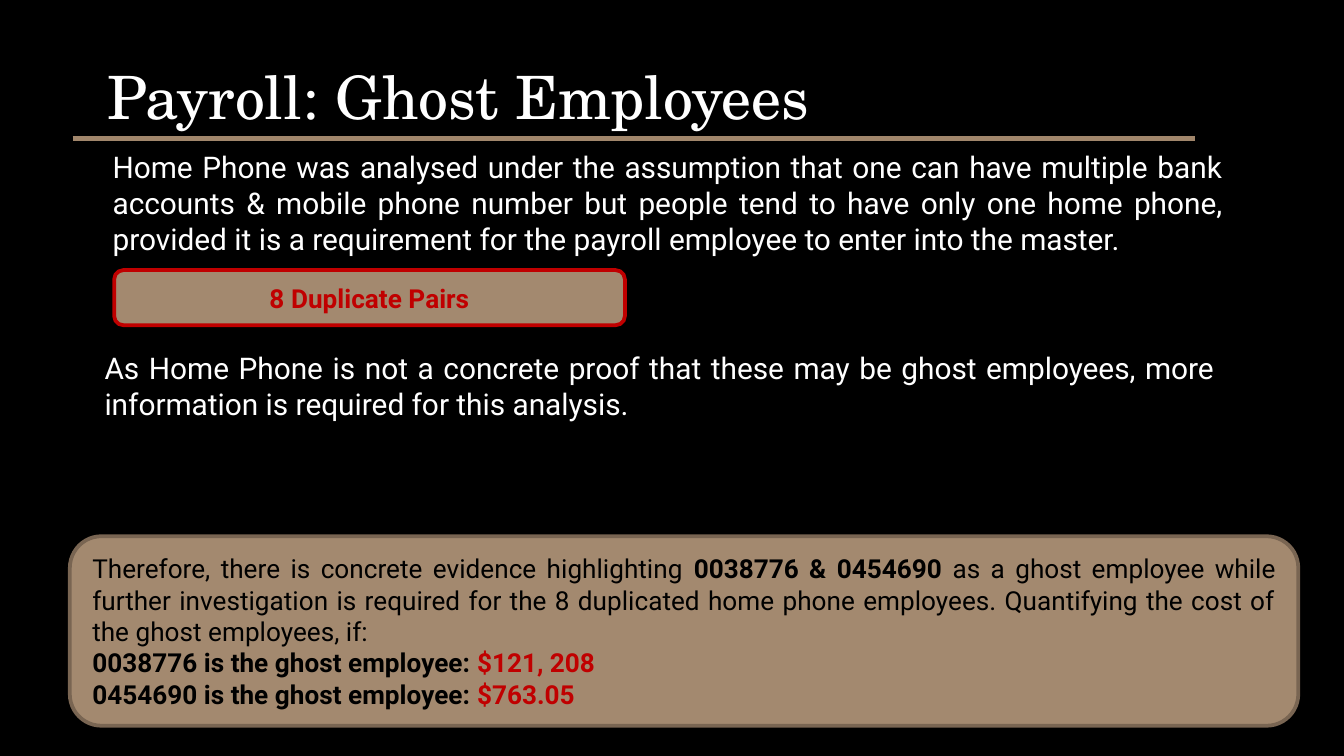
"""Build the payroll ghost employees slide."""
import pptx
import pptx.dml.color
import pptx.enum.shapes
import pptx.enum.text
import pptx.oxml.ns
import pptx.util
from lxml import etree

Inches = pptx.util.Inches
Pt = pptx.util.Pt
ALIGN = pptx.enum.text.PP_ALIGN
ANCHOR = pptx.enum.text.MSO_ANCHOR
SHAPE = pptx.enum.shapes.MSO_SHAPE


def color(value):
    return pptx.dml.color.RGBColor.from_string(value)


class SlideBuilder:
    BODY, HEADING = "Roboto", "TeX Gyre Schola"
    BLACK, WHITE, RED = "000000", "FFFFFF", "C00000"
    TAN, RULE, BROWN = "A3896F", "A1866B", "796552"

    def __init__(self, prs):
        self.slide = prs.slides.add_slide(prs.slide_layouts[6])
        fill = self.slide.background.fill
        fill.solid()
        fill.fore_color.rgb = color(self.BLACK)

    def style(self, r, size, rgb, bold=False, name=BODY):
        r.font.name = name
        r.font.size = Pt(size)
        r.font.bold = bold
        r.font.color.rgb = color(rgb)

    def text(self, box, text, size, name=BODY, align=ALIGN.LEFT, indent=0, anchor=ANCHOR.TOP):
        sp = self.slide.shapes.add_textbox(*map(Inches, box))
        tf = sp.text_frame
        tf.word_wrap = True
        tf.vertical_anchor = anchor
        tf.margin_left = tf.margin_right = tf.margin_top = tf.margin_bottom = Inches(0.1)
        tf.text = text
        p = tf.paragraphs[0]
        p.alignment = align
        p._p.get_or_add_pPr().set("marL", str(Inches(indent)))
        self.style(p.runs[0], size, self.WHITE, name=name)

    def rule(self, x1, x2, y):
        line = self.slide.shapes.add_connector(
            pptx.enum.shapes.MSO_CONNECTOR.STRAIGHT, Inches(x1), Inches(y), Inches(x2), Inches(y))
        line.line.color.rgb = color(self.RULE)
        line.line.width = Pt(2.25)
        etree.SubElement(line._element.spPr, pptx.oxml.ns.qn("a:effectLst"))

    def panel(self, box, border, paragraphs, align):
        sp = self.slide.shapes.add_shape(SHAPE.ROUNDED_RECTANGLE, *map(Inches, box))
        sp.shadow.inherit = False
        sp.fill.solid()
        sp.fill.fore_color.rgb = color(self.TAN)
        sp.line.color.rgb = color(border)
        sp.line.width = Pt(2)
        tf = sp.text_frame
        tf.word_wrap = True
        tf.vertical_anchor = ANCHOR.MIDDLE
        for i, runs in enumerate(paragraphs):
            p = tf.add_paragraph() if i else tf.paragraphs[0]
            p.alignment = align
            for text, rgb, bold in runs:
                r = p.add_run()
                r.text = text
                self.style(r, 14, rgb, bold)


def main():
    prs = pptx.Presentation()
    prs.slide_width = Inches(10)
    prs.slide_height = prs.slide_width * 9 // 16
    s = SlideBuilder(prs)

    s.text((0.7, 0.24, 8.27, 0.84), "Payroll: Ghost Employees", 32,
           name=s.HEADING, anchor=ANCHOR.BOTTOM)
    s.text((0.24, 1.01, 8.96, 0.91),
           "Home Phone was analysed under the assumption that one can have multiple bank "
           "accounts & mobile phone number but people tend to have only one home phone, "
           "provided it is a requirement for the payroll employee to enter into the master.",
           16, align=ALIGN.JUSTIFY, indent=0.5)
    s.rule(0.54, 8.89, 1.03)
    s.panel((0.85, 2.01, 3.8, 0.41), s.RED, [[("8 Duplicate Pairs", s.RED, True)]], ALIGN.CENTER)
    s.text((0.18, 2.5, 8.96, 0.91),
           "As Home Phone is not a concrete proof that these may be ghost employees, more "
           "information is required for this analysis.",
           16, align=ALIGN.JUSTIFY, indent=0.5)

    costs = {"0038776": "$121, 208", "0454690": "$763.05"}
    conclusion = [
        ("Therefore, there is concrete evidence highlighting ", s.BLACK, False),
        (" & ".join(costs), s.BLACK, True),
        (" as a ghost employee while further investigation is required for the 8 duplicated "
         "home phone employees. Quantifying the cost of the ghost employees, if:", s.BLACK, False),
    ]
    cost_lines = [[(f"{employee} is the ghost employee: ", s.BLACK, True), (cost, s.RED, True)]
                  for employee, cost in costs.items()]
    s.panel((0.52, 3.99, 9.14, 1.41), s.BROWN, [conclusion, *cost_lines], ALIGN.JUSTIFY)

    prs.save("out.pptx")


if __name__ == "__main__":
    main()
